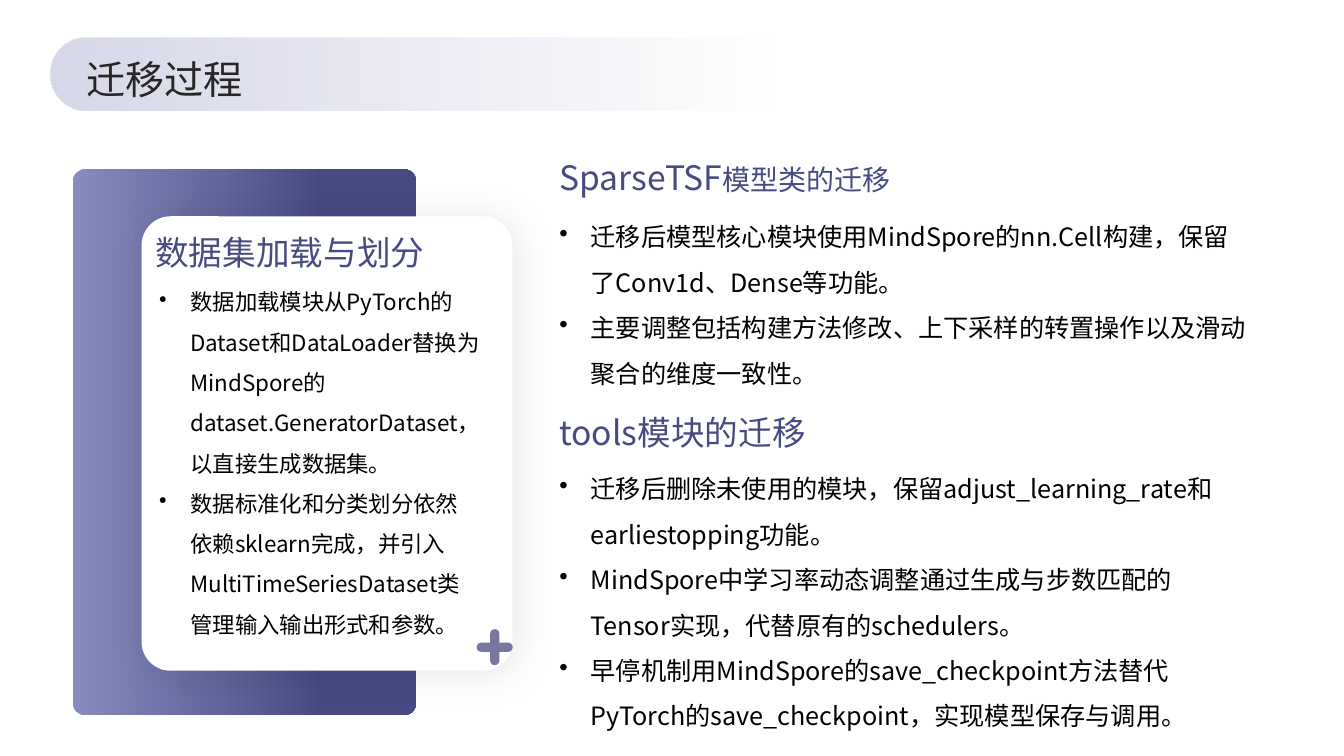
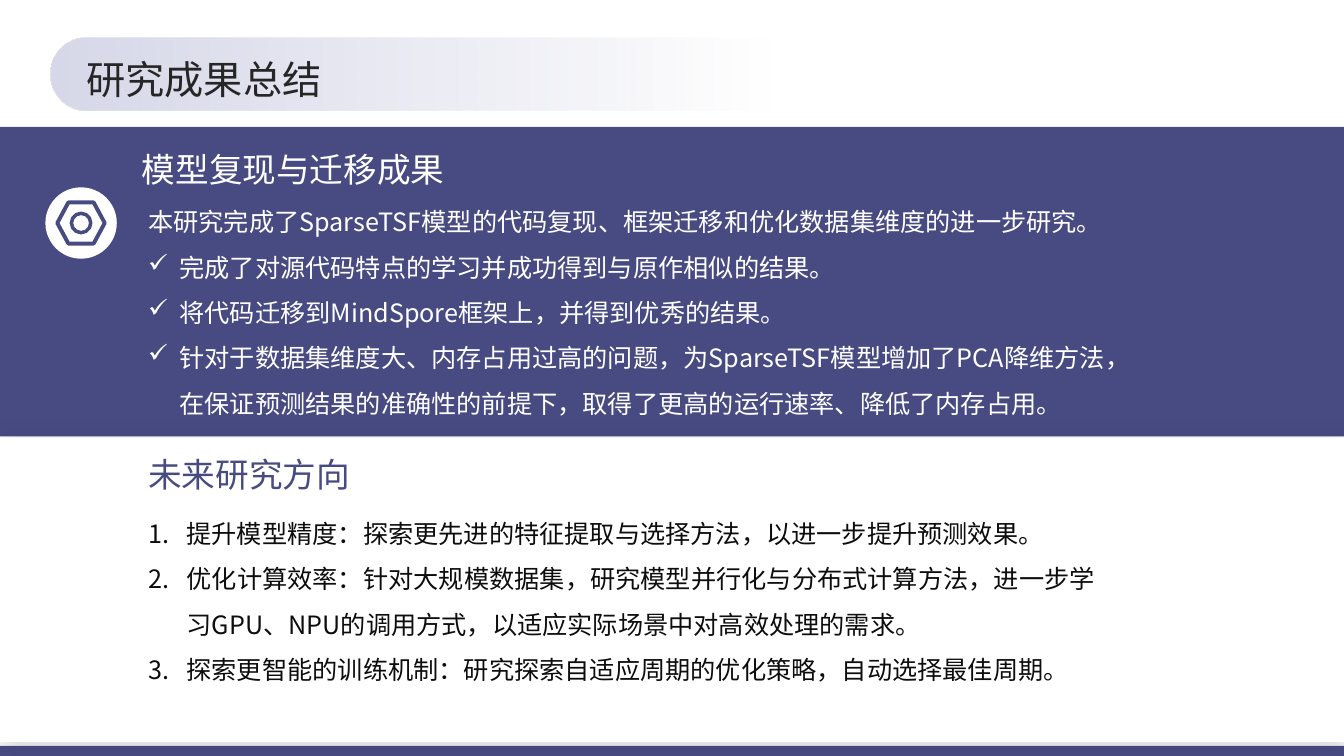
from lxml import etree
from pptx import Presentation
from pptx import util as u
from pptx.dml.color import RGBColor
from pptx.enum import shapes, text
from pptx.oxml.ns import qn

FONT = "Noto Sans CJK SC"
INDIGO, WHITE, BLACK = "484B82", "FFFFFF", "000000"
COLUMNS, ROWS = 32, 18
WIDTH, HEIGHT = u.Inches(13.33), u.Inches(7.5)
KIND = shapes.MSO_SHAPE
ANCHOR = text.MSO_ANCHOR


def rgb(value):
    return RGBColor.from_string(value)


def child(parent, tag, **attributes):
    element = etree.SubElement(parent, qn(tag))
    for name, value in attributes.items():
        element.set(name, str(value))
    return element


class Deck:
    """Holds the shared style and the slide being drawn on a 32 by 18 grid."""

    def __init__(self):
        self.presentation = Presentation()
        self.presentation.slide_width = WIDTH
        self.presentation.slide_height = HEIGHT

    def place(self, left, top, width, height):
        column, row = WIDTH / COLUMNS, HEIGHT / ROWS
        return [round(n) for n in (left * column, top * row, width * column, height * row)]

    def add_slide(self, title):
        layout = self.presentation.slide_layouts[6]
        self.slide = self.presentation.slides.add_slide(layout)
        bar = self.shape(KIND.ROUNDED_RECTANGLE, (1.2, 0.89, 21.46, 1.73), corner=0.5)
        self.gradient(bar, "D7D8E9", "D7D8E9", 0.8, end_alpha=0)
        self.text((2.06, 1.22, 28, 1.22), [title], 28, "262626", 1.1, ANCHOR.MIDDLE)

    def shape(self, kind, box, fill=None, corner=None, outline=None, weight=0):
        shape = self.slide.shapes.add_shape(kind, *self.place(*box))
        shape.shadow.inherit = False
        if corner is not None:
            shape.adjustments[0] = corner
        if fill:
            shape.fill.solid()
            shape.fill.fore_color.rgb = rgb(fill)
        else:
            shape.fill.background()
        if outline:
            shape.line.color.rgb = rgb(outline)
            shape.line.width = u.Pt(weight)
        else:
            shape.line.fill.background()
        return shape

    def centred(self, kind, centre, width, height, **style):
        x, y = centre
        return self.shape(kind, (x - width / 2, y - height / 2, width, height), **style)

    def gradient(self, shape, start, end, end_position, end_alpha=None):
        shape.fill.gradient()
        shape.fill.gradient_angle = 0
        for stop, color, position in zip(shape.fill.gradient_stops, (start, end), (0, end_position)):
            stop.color.rgb = rgb(color)
            stop.position = position
        if end_alpha is not None:
            last_color = list(shape.element.iter(qn("a:srgbClr")))[-1]
            child(last_color, "a:alpha", val=end_alpha * 1000)

    def shadow(self, shape, color, alpha, blur, distance, angle):
        effects = shape.element.spPr.find(qn("a:effectLst"))
        outer = child(effects, "a:outerShdw", blurRad=u.Pt(blur), dist=u.Pt(distance),
                      dir=angle * 60000, algn="ctr", rotWithShape=0)
        child(child(outer, "a:srgbClr", val=color), "a:alpha", val=alpha * 1000)

    def format_run(self, run, size, color):
        run.font.size = u.Pt(size)
        run.font.name = FONT
        run.font.color.rgb = rgb(color)
        child(run.font._element, "a:ea", typeface=FONT)

    def text(self, box, lines, size, color, spacing=1.5, anchor=ANCHOR.TOP):
        frame = self.slide.shapes.add_textbox(*self.place(*box)).text_frame
        frame.word_wrap = True
        frame.vertical_anchor = anchor
        frame.margin_left = frame.margin_right = frame.margin_top = frame.margin_bottom = 0
        frame.text = "\n".join(lines)
        for paragraph in frame.paragraphs:
            paragraph.line_spacing = spacing
            for run in paragraph.runs:
                self.format_run(run, size, color)
        return frame.paragraphs

    def heading(self, box, words, color=INDIGO, tail=None, **style):
        paragraph = self.text(box, [words], 24, color, **style)[0]
        if tail:
            run = paragraph.add_run()
            run.text = tail
            self.format_run(run, 20, color)

    def bullets(self, box, items, size=18, color=BLACK, mark="•", lead=None):
        lines = [lead, *items] if lead else items
        for paragraph in self.text(box, lines, size, color)[1 if lead else 0:]:
            self.hang(paragraph, 0.31)
            child(paragraph._p.pPr, "a:buChar", char=mark)

    def numbered(self, box, items, color):
        for paragraph in self.text(box, items, 18, color):
            paragraph.alignment = text.PP_ALIGN.JUSTIFY
            self.hang(paragraph, 0.38)
            child(paragraph._p.pPr, "a:buAutoNum", type="arabicPeriod")

    def hang(self, paragraph, inches):
        properties = paragraph._p.get_or_add_pPr()
        properties.set("marL", str(u.Inches(inches)))
        properties.set("indent", str(-u.Inches(inches)))


def migration(deck):
    deck.add_slide("迁移过程")
    panel = deck.shape(KIND.ROUNDED_RECTANGLE, (1.73, 4.03, 8.18, 13), corner=0.036)
    deck.gradient(panel, "888BBD", INDIGO, 0.73)
    card = deck.shape(KIND.ROUNDED_RECTANGLE, (3.37, 5.15, 8.83, 10.82), WHITE, 0.078)
    deck.shadow(card, BLACK, 10, 28, 3, 45)
    deck.heading((3.7, 4.85, 7, 1.63), "数据集加载与划分", anchor=ANCHOR.BOTTOM)
    deck.bullets((3.79, 6.55, 7.66, 7.8), [
        "数据加载模块从PyTorch的Dataset和DataLoader替换为MindSpore的dataset.GeneratorDataset，以直接生成数据集。",
        "数据标准化和分类划分依然依赖sklearn完成，并引入MultiTimeSeriesDataset类管理输入输出形式和参数。",
    ], size=16)
    for width, height in ((0.86, 0.22), (0.22, 0.86)):
        deck.centred(KIND.ROUNDED_RECTANGLE, (11.78, 15.41), width, height,
                     fill="7678A1", corner=0.5)

    left = 13.32
    deck.heading((left, 3.65, 16.2, 0.65), "SparseTSF", tail="模型类的迁移", anchor=ANCHOR.MIDDLE)
    deck.bullets((left, 4.92, 16.44, 4.22), [
        "迁移后模型核心模块使用MindSpore的nn.Cell构建，保留了Conv1d、Dense等功能。",
        "主要调整包括构建方法修改、上下采样的转置操作以及滑动聚合的维度一致性。",
    ])
    deck.heading((left, 9.72, 16.2, 0.65), "tools模块的迁移", anchor=ANCHOR.MIDDLE)
    deck.bullets((left, 10.92, 16.2, 6.58), [
        "迁移后删除未使用的模块，保留adjust_learning_rate和earliestopping功能。",
        "MindSpore中学习率动态调整通过生成与步数匹配的Tensor实现，代替原有的schedulers。",
        "早停机制用MindSpore的save_checkpoint方法替代PyTorch的save_checkpoint，实现模型保存与调用。",
    ])


def summary(deck):
    deck.add_slide("研究成果总结")
    footer = deck.shape(KIND.RECTANGLE, (0, 17.76, COLUMNS, 0.24), INDIGO)
    deck.shadow(footer, INDIGO, 20, 25, 0, 0)
    deck.shape(KIND.RECTANGLE, (0, 3.02, COLUMNS, 7.37), INDIGO)
    future = deck.shape(KIND.RECTANGLE, (0, 10.42, COLUMNS, 7.25), WHITE)
    deck.shadow(future, "242541", 19, 14, 3, 45)

    left = 3.53
    deck.heading((3.38, 3.55, 23.66, 0.72), "模型复现与迁移成果", WHITE, spacing=1)
    deck.bullets((left, 4.56, 23.93, 5.4), [
        "完成了对源代码特点的学习并成功得到与原作相似的结果。",
        "将代码迁移到MindSpore框架上，并得到优秀的结果。",
        "针对于数据集维度大、内存占用过高的问题，为SparseTSF模型增加了PCA降维方法，在保证预测结果的准确性的前提下，取得了更高的运行速率、降低了内存占用。",
    ], color=WHITE, mark="✓", lead="本研究完成了SparseTSF模型的代码复现、框架迁移和优化数据集维度的进一步研究。")

    badge = (1.93, 5.31)
    deck.centred(KIND.OVAL, badge, 1.7, 1.7, fill=WHITE)
    deck.centred(KIND.HEXAGON, badge, 1.13, 0.98, corner=0.27, outline=INDIGO, weight=2.8)
    deck.centred(KIND.OVAL, badge, 0.46, 0.46, outline=INDIGO, weight=2.5)

    deck.heading((left, 10.8, 22.54, 0.72), "未来研究方向", spacing=1)
    deck.numbered((left, 11.98, 22.54, 5.35), [
        "提升模型精度：探索更先进的特征提取与选择方法，以进一步提升预测效果。",
        "优化计算效率：针对大规模数据集，研究模型并行化与分布式计算方法，进一步学习GPU、NPU的调用方式，以适应实际场景中对高效处理的需求。",
        "探索更智能的训练机制：研究探索自适应周期的优化策略，自动选择最佳周期。",
    ], "0D0D0D")


def main():
    deck = Deck()
    migration(deck)
    summary(deck)
    deck.presentation.save("out.pptx")


if __name__ == "__main__":
    main()
